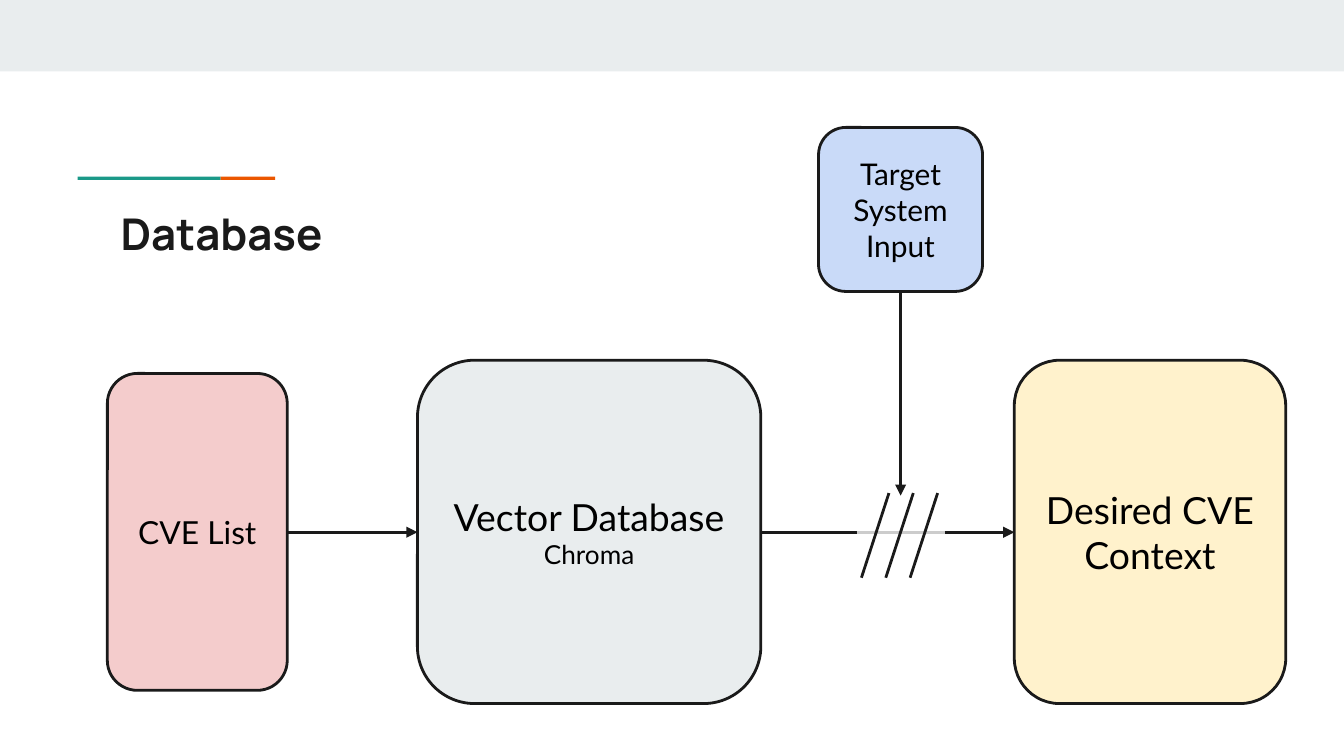
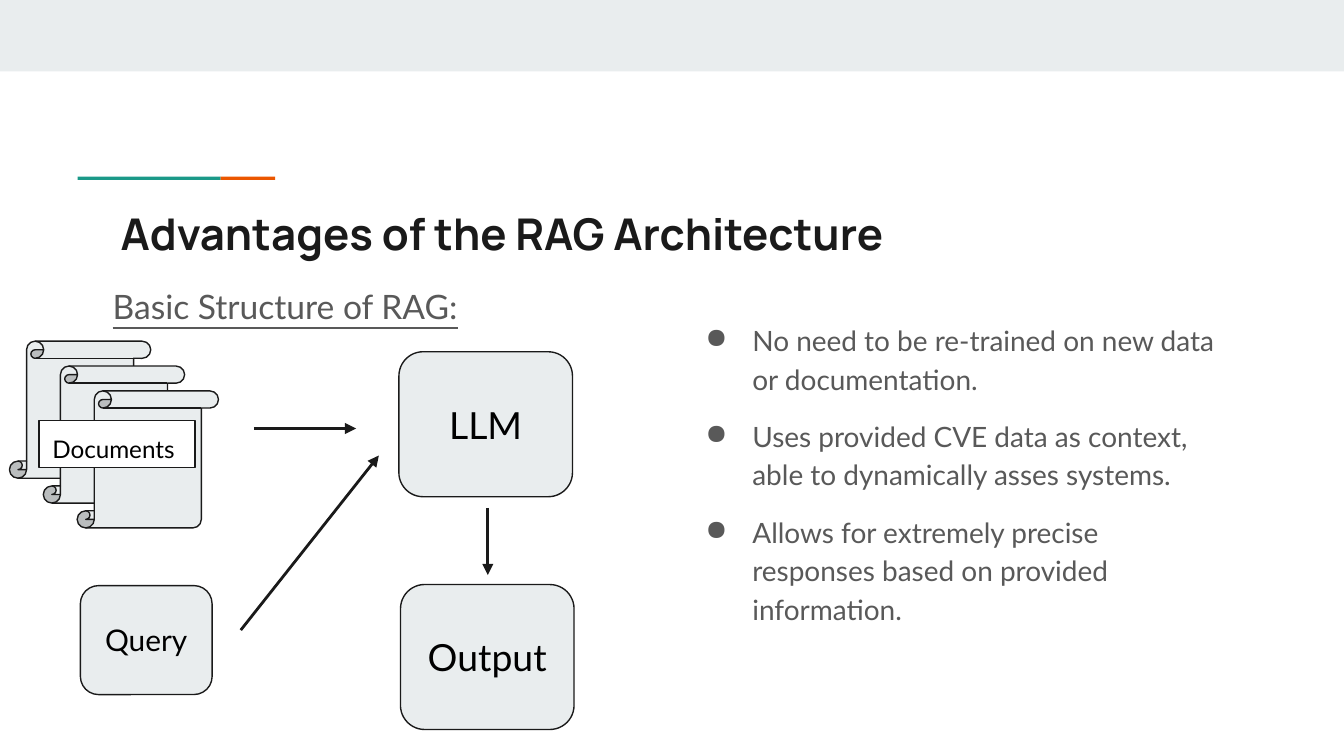
import pptx
import pptx.dml.color
import pptx.enum.shapes
import pptx.enum.text
import pptx.oxml.ns
import pptx.util
from lxml import etree

Cm = pptx.util.Cm
Pt = pptx.util.Pt
Shape = pptx.enum.shapes.MSO_SHAPE
Align = pptx.enum.text.PP_ALIGN
Anchor = pptx.enum.text.MSO_ANCHOR
qn = pptx.oxml.ns.qn

COLORS = {
    "ink": "1A1A1A", "black": "000000", "white": "FFFFFF", "body": "595959",
    "mist": "E9EDEE", "teal": "1A9988", "orange": "EB5600", "faded": "CCCCCC",
    "blue": "C9DAF8", "pink": "F4CCCC", "yellow": "FFF2CC",
}
TITLE_FONT, BODY_FONT = "Manrope", "Lato"
THIN, THICK = 0.75, 1.5
SLIDE_WIDTH, SLIDE_HEIGHT = 25.4, 14.29


def rgb(name):
    return pptx.dml.color.RGBColor.from_string(COLORS[name])


def lengths(*values):
    return [Cm(value) for value in values]


def add_bullet(paragraph, color):
    properties = paragraph._p.get_or_add_pPr()
    properties.set("marL", str(Cm(1.27)))
    properties.set("indent", str(-Cm(0.89)))
    bullet_color = etree.SubElement(properties, qn("a:buClr"))
    etree.SubElement(bullet_color, qn("a:srgbClr")).set("val", COLORS[color])
    etree.SubElement(properties, qn("a:buChar")).set("char", "●")


def write_text(shape, *lines, size, color="black", font=BODY_FONT, bold=False,
               underline=False, align=Align.LEFT, anchor=Anchor.TOP,
               bullets=False, line_spacing=None, gap=0):
    """Write one paragraph per line; a line is a text or a (text, size) pair."""
    frame = shape.text_frame
    frame.word_wrap = True
    frame.auto_size = pptx.enum.text.MSO_AUTO_SIZE.NONE
    frame.vertical_anchor = anchor
    frame.margin_left = frame.margin_right = Cm(0.25)
    frame.margin_top = frame.margin_bottom = Cm(0.25)
    for index, line in enumerate(lines):
        text, points = line if isinstance(line, tuple) else (line, size)
        paragraph = frame.add_paragraph() if index else frame.paragraphs[0]
        if bullets:
            add_bullet(paragraph, color)
        paragraph.alignment = align
        paragraph.space_before = Pt(gap if index else 0)
        if line_spacing:
            paragraph.line_spacing = line_spacing
        run = paragraph.add_run()
        run.text = text
        run.font.name = font
        run.font.size = Pt(points)
        run.font.bold = bold
        run.font.underline = underline
        run.font.color.rgb = rgb(color)


def add_block(slide, kind, box, fill, outline=None):
    """Add a preset shape, outlined only when a line width is given."""
    shape = slide.shapes.add_shape(kind, *lengths(*box))
    shape.shadow.inherit = False
    shape.fill.solid()
    shape.fill.fore_color.rgb = rgb(fill)
    if outline:
        shape.line.color.rgb = rgb("ink")
        shape.line.width = Pt(outline)
    else:
        shape.line.fill.background()
    return shape


def add_node(slide, box, *lines, size, fill="mist", outline=THIN):
    node = add_block(slide, Shape.ROUNDED_RECTANGLE, box, fill, outline)
    write_text(node, *lines, size=size, align=Align.CENTER, anchor=Anchor.MIDDLE)


def add_line(slide, start, end, color="ink", arrow=False):
    line = slide.shapes.add_connector(
        pptx.enum.shapes.MSO_CONNECTOR.STRAIGHT, *lengths(*start, *end))
    line.line.color.rgb = rgb(color)
    line.line.width = Pt(THICK)
    if arrow:
        etree.SubElement(line.line._get_or_add_ln(), qn("a:tailEnd")).set("type", "triangle")
    etree.SubElement(line._element.spPr, qn("a:effectLst"))


def add_text_box(slide, box, *lines, **text_format):
    write_text(slide.shapes.add_textbox(*lengths(*box)), *lines, **text_format)


def add_titled_slide(presentation, title):
    slide = presentation.slides.add_slide(presentation.slide_layouts.get_by_name("Title Only"))
    add_block(slide, Shape.RECTANGLE, (0, 0, SLIDE_WIDTH, 1.35), "mist")
    add_block(slide, Shape.RECTANGLE, (1.47, 3.34, 2.7, 0.06), "teal")
    add_block(slide, Shape.RECTANGLE, (4.17, 3.34, 1.03, 0.06), "orange")
    holder = slide.shapes.title
    holder.left, holder.top, holder.width, holder.height = lengths(2.03, 3.66, 21.36, 1.5)
    write_text(holder, title, size=23.4, color="ink", font=TITLE_FONT, bold=True)
    return slide


def build_database(presentation):
    slide = add_titled_slide(presentation, "Database")
    flow_y, input_x = 10.06, 17.02
    filter_left, filter_right = 16.19, 17.86

    add_node(slide, (15.47, 2.41, 3.1, 3.1), "Target System Input",
             size=16, fill="blue", outline=THICK)
    add_node(slide, (2.03, 7.06, 3.4, 5.99), "CVE List",
             size=17, fill="pink", outline=THICK)
    add_node(slide, (7.89, 6.81, 6.49, 6.49), "Vector Database", ("Chroma", 14),
             size=20, outline=THICK)
    add_node(slide, (19.17, 6.81, 5.13, 6.49), "Desired CVE Context",
             size=20, fill="yellow", outline=THICK)

    add_line(slide, (5.43, flow_y), (7.89, flow_y), arrow=True)
    add_line(slide, (input_x, 5.51), (input_x, 9.37), arrow=True)
    add_line(slide, (14.38, flow_y), (filter_left, flow_y))
    add_line(slide, (filter_right, flow_y), (19.17, flow_y), arrow=True)
    add_line(slide, (filter_left, flow_y), (filter_right, flow_y), color="faded")
    for index in range(3):
        slash_x = 16.28 + 0.46 * index
        add_line(slide, (slash_x, 10.92), (slash_x + 0.52, 9.32))


def build_advantages(presentation):
    slide = add_titled_slide(presentation, "Advantages of the RAG Architecture")
    add_text_box(slide, (12.7, 5.77, 10.69, 6.27),
                 "No need to be re-trained on new data or documentation.",
                 "Uses provided CVE data as context, able to dynamically asses systems.",
                 "Allows for extremely precise responses based on provided information.",
                 size=15, color="body", bullets=True, line_spacing=1.15, gap=10)
    add_text_box(slide, (1.88, 5.16, 8.38, 1.5), "Basic Structure of RAG:",
                 size=18, color="body", underline=True)

    for index in range(3):
        box = (0.18 + 0.64 * index, 6.45 + 0.47 * index, 2.67, 2.59)
        add_block(slide, Shape.VERTICAL_SCROLL, box, "mist", THIN)
    label = add_block(slide, Shape.RECTANGLE, (0.74, 7.95, 2.95, 0.89), "white", THIN)
    write_text(label, "Documents", size=13)

    add_node(slide, (7.54, 6.65, 3.28, 2.74), "LLM", size=20)
    add_node(slide, (7.57, 11.05, 3.28, 2.74), "Output", size=20)
    add_node(slide, (1.52, 11.07, 2.49, 2.06), "Query", size=16)

    add_line(slide, (4.8, 8.1), (6.73, 8.1), arrow=True)
    add_line(slide, (9.22, 9.6), (9.22, 10.87), arrow=True)
    add_line(slide, (4.55, 11.91), (7.16, 8.61), arrow=True)


def main():
    presentation = pptx.Presentation()
    presentation.slide_width, presentation.slide_height = lengths(SLIDE_WIDTH, SLIDE_HEIGHT)
    build_database(presentation)
    build_advantages(presentation)
    presentation.save("out.pptx")


if __name__ == "__main__":
    main()
